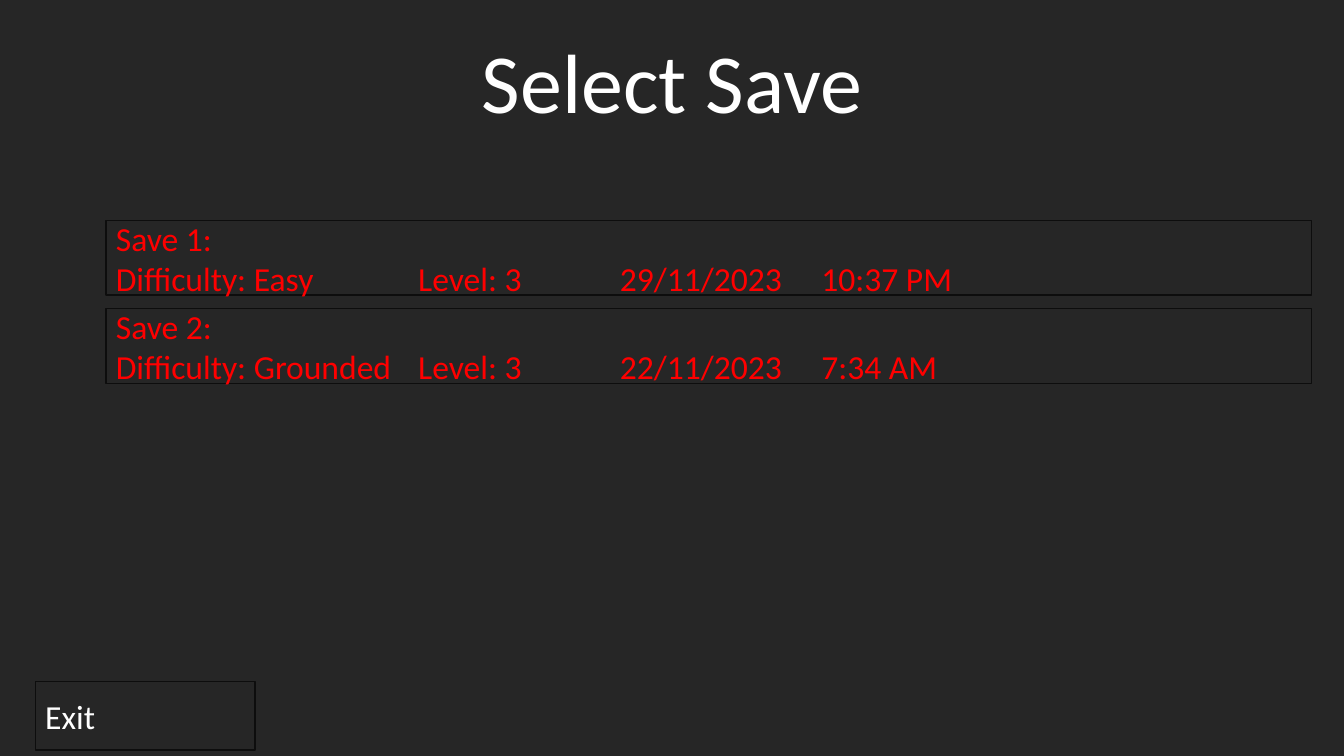
from pptx import Presentation
from pptx.dml.color import RGBColor
from pptx.enum.shapes import MSO_SHAPE
from pptx.enum.text import MSO_ANCHOR, PP_ALIGN
from pptx.oxml import parse_xml
from pptx.oxml.ns import nsdecls
from pptx.util import Cm, Pt

CHARCOAL = RGBColor(0x26, 0x26, 0x26)
OUTLINE = RGBColor(0x0D, 0x0D, 0x0D)
WHITE = RGBColor(0xFF, 0xFF, 0xFF)
RED = RGBColor(0xFF, 0x00, 0x00)

FONT = "Calibri"
COLUMN_STOPS = (7.62, 12.7, 17.78)
SAVES_LEFT, SAVES_TOP, SAVES_PITCH = 2.67, 5.56, 2.22
SAVES_WIDTH, SAVES_HEIGHT = 30.38, 1.88
SAVES = (
    ("Difficulty: Easy", "Level: 3", "29/11/2023", "10:37 PM"),
    ("Difficulty: Grounded", "Level: 3", "22/11/2023", "7:34 AM"),
)


def write_line(para, text, size=24, color=WHITE, align=PP_ALIGN.LEFT, stops=()):
    para.alignment = align
    if stops:
        tabs = "".join(f'<a:tab pos="{Cm(stop)}" algn="l"/>' for stop in stops)
        para._p.get_or_add_pPr().append(
            parse_xml(f"<a:tabLst {nsdecls('a')}>{tabs}</a:tabLst>")
        )
    span = para.add_run()
    span.text = text
    span.font.name = FONT
    span.font.size = Pt(size)
    span.font.color.rgb = color


class MenuPage:
    def __init__(self, deck):
        self.page = deck.slides.add_slide(deck.slide_layouts[5])
        self.page.background.fill.solid()
        self.page.background.fill.fore_color.rgb = CHARCOAL

    def title(self, text, left, top, width, height):
        box = self.page.shapes.title
        box.left, box.top = Cm(left), Cm(top)
        box.width, box.height = Cm(width), Cm(height)
        box.text_frame.vertical_anchor = MSO_ANCHOR.MIDDLE
        write_line(box.text_frame.paragraphs[0], text, size=60, align=PP_ALIGN.CENTER)

    def button(self, lines, left, top, width, height, **style):
        box = self.page.shapes.add_shape(
            MSO_SHAPE.RECTANGLE, Cm(left), Cm(top), Cm(width), Cm(height)
        )
        box.shadow.inherit = False
        box.fill.solid()
        box.fill.fore_color.rgb = CHARCOAL
        box.line.color.rgb = OUTLINE
        box.line.width = Pt(1)
        frame = box.text_frame
        frame.word_wrap = True
        frame.vertical_anchor = MSO_ANCHOR.MIDDLE
        for index, text in enumerate(lines):
            para = frame.add_paragraph() if index else frame.paragraphs[0]
            write_line(para, text, **style)


deck = Presentation()
deck.slide_width, deck.slide_height = Cm(33.87), Cm(19.05)
menu = MenuPage(deck)
menu.title("Select Save", 0, 0.61, 33.87, 2.82)
for index, details in enumerate(SAVES):
    menu.button(
        (f"Save {index + 1}: ", "\t".join(details)),
        SAVES_LEFT, SAVES_TOP + index * SAVES_PITCH, SAVES_WIDTH, SAVES_HEIGHT,
        color=RED, stops=COLUMN_STOPS,
    )
menu.button(("Exit",), 0.89, 17.17, 5.54, 1.73)
deck.save("out.pptx")
